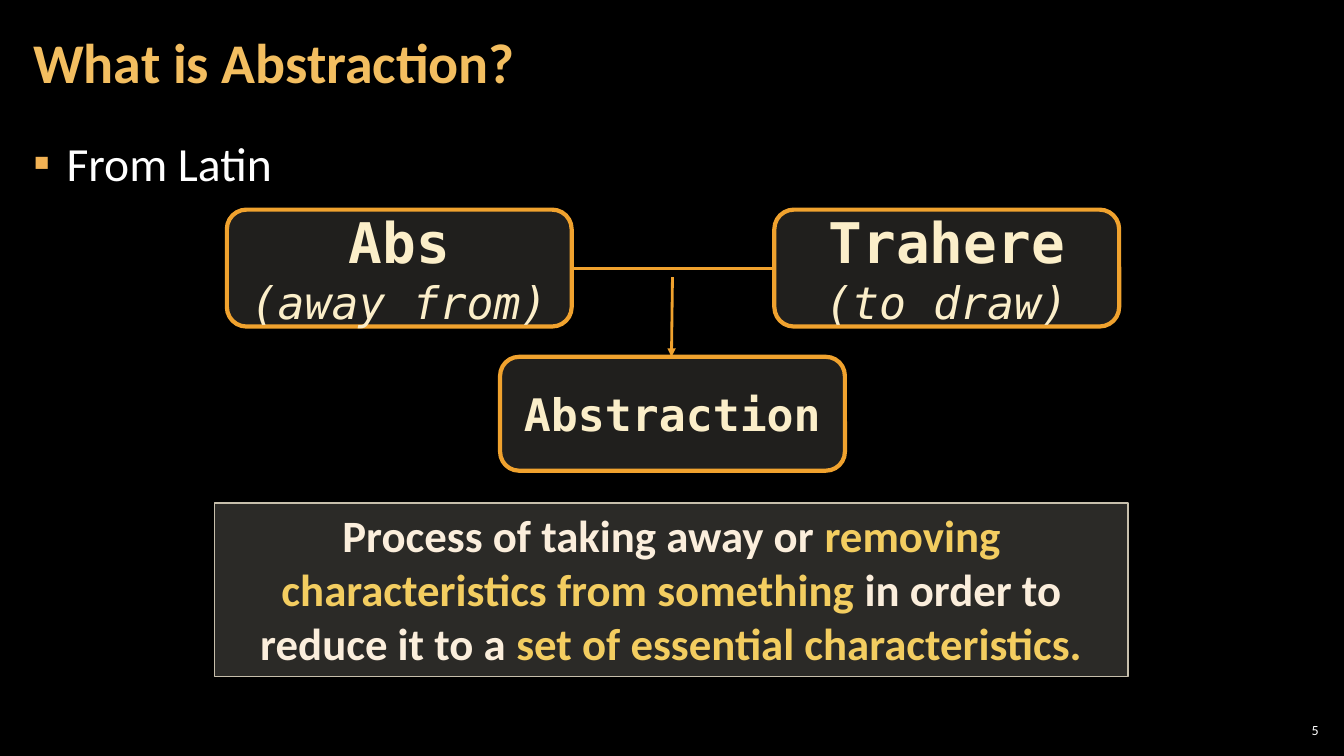
import pptx
import pptx.util
import pptx.dml.color
import pptx.enum.shapes
import pptx.enum.text
import pptx.oxml
import pptx.oxml.ns

Inches = pptx.util.Inches
Align = pptx.enum.text.PP_ALIGN
Anchor = pptx.enum.text.MSO_ANCHOR
Shape = pptx.enum.shapes.MSO_SHAPE

COLORS = {
    "background": "000000", "white": "FFFFFF", "title": "F3BE60",
    "bullet": "F2B254", "accent": "F0A22E", "panel": "D9D5C7",
    "panel_line": "C7BFAC", "term": "FBEEC9", "body": "FBEEDC",
    "highlight": "F3CD60",
}
SANS, MONO = "Calibri", "DejaVu Sans Mono"


def color(name):
    return pptx.dml.color.RGBColor.from_string(COLORS[name])


def add_element(parent, tag, **attributes):
    element = pptx.oxml.parse_xml(f"<a:{tag} {pptx.oxml.ns.nsdecls('a')}/>")
    for key, value in attributes.items():
        element.set(key, value)
    parent.append(element)
    return element


class SlideBuilder:
    def __init__(self, deck):
        self.page = deck.slides.add_slide(deck.slide_layouts[5])
        self.page.background.fill.solid()
        self.page.background.fill.fore_color.rgb = color("background")

    def format_span(self, span, size, name, font=SANS, bold=False, italic=False):
        span.font.size = pptx.util.Pt(size)
        span.font.name = font
        span.font.bold = bold
        span.font.italic = italic
        span.font.color.rgb = color(name)

    def frame(self, box, anchor=Anchor.TOP, side=0.1, edge=0.05, wrap=True):
        frame = box.text_frame
        frame.word_wrap = wrap
        frame.auto_size = pptx.enum.text.MSO_AUTO_SIZE.NONE
        frame.vertical_anchor = anchor
        frame.margin_left = frame.margin_right = Inches(side)
        frame.margin_top = frame.margin_bottom = Inches(edge)
        return frame

    def title(self, text, left, top, width, height):
        box = self.page.shapes.title
        box.left, box.top = Inches(left), Inches(top)
        box.width, box.height = Inches(width), Inches(height)
        frame = self.frame(box, Anchor.MIDDLE, 0.12, 0.04)
        frame.text = text
        para = frame.paragraphs[0]
        para.alignment = Align.LEFT
        para.line_spacing = 0.9
        self.format_span(para.runs[0], 40, "title", bold=True)

    def text(self, text, size, left, top, width, height, side,
             anchor=Anchor.TOP, align=Align.LEFT):
        box = self.page.shapes.add_textbox(
            Inches(left), Inches(top), Inches(width), Inches(height))
        frame = self.frame(box, anchor, side, 0.04)
        frame.text = text
        para = frame.paragraphs[0]
        para.alignment = align
        self.format_span(para.runs[0], size, "white")
        return para

    def bullet(self, text, *place):
        para = self.text(text, 34, *place, side=0.12)
        para.line_spacing = 1.05
        para.space_after = pptx.util.Pt(6)
        properties = para._p.get_or_add_pPr()
        properties.set("marL", str(Inches(0.33)))
        properties.set("indent", str(-Inches(0.33)))
        bullet_color = add_element(properties, "buClr")
        add_element(bullet_color, "srgbClr", val=COLORS["bullet"])
        add_element(properties, "buFont", typeface=SANS)
        add_element(properties, "buChar", char="▪")

    def panel(self, kind, left, top, width, height, line, line_width, alpha):
        box = self.page.shapes.add_shape(
            kind, Inches(left), Inches(top), Inches(width), Inches(height))
        box.shadow.inherit = False
        box.fill.solid()
        box.fill.fore_color.rgb = color("panel")
        fill_color = box.fill._xPr.find(".//" + pptx.oxml.ns.qn("a:srgbClr"))
        add_element(fill_color, "alpha", val=str(alpha * 1000))
        box.line.color.rgb = color(line)
        box.line.width = pptx.util.Pt(line_width)
        return box

    def term(self, word, meaning, size, left, top, height):
        box = self.panel(Shape.ROUNDED_RECTANGLE, left, top, 3.42, height,
                         "accent", 3, 15)
        frame = self.frame(box, Anchor.MIDDLE, wrap=False)
        frame.text = f"{word}\n{meaning}" if meaning else word
        for para in frame.paragraphs:
            para.alignment = Align.CENTER
        self.format_span(frame.paragraphs[0].runs[0], size, "term", MONO, bold=True)
        if meaning:
            self.format_span(frame.paragraphs[1].runs[0], 32, "term", MONO, italic=True)
        return box

    def definition(self, parts, *place):
        box = self.panel(Shape.RECTANGLE, *place, "panel_line", 1, 20)
        para = self.frame(box).paragraphs[0]
        para.alignment = Align.CENTER
        for text, name in parts:
            span = para.add_run()
            span.text = text
            self.format_span(span, 32, name, bold=True)

    def connector(self, start, end, arrow=False):
        line = self.page.shapes.add_connector(
            pptx.enum.shapes.MSO_CONNECTOR.STRAIGHT,
            *map(Inches, start), *map(Inches, end))
        line.line.color.rgb = color("accent")
        line.line.width = pptx.util.Pt(2)
        if arrow:
            add_element(line.line._get_or_add_ln(), "tailEnd", type="triangle")
        add_element(line._element.spPr, "effectLst")
        return line


def main():
    deck = pptx.Presentation()
    deck.slide_width, deck.slide_height = Inches(13.33), Inches(7.5)
    slide = SlideBuilder(deck)

    # Slide number, title and bullet
    slide.text("5", 10, 12.65, 7.14, 0.47, 0.21, 0.04, Anchor.MIDDLE, Align.RIGHT)
    slide.bullet("From Latin", 0.21, 1.26, 12.91, 6.09)
    slide.title("What is Abstraction?", 0.21, 0.04, 10.47, 1.21)

    # Latin roots and the word they form
    prefix = slide.term("Abs", "(away from)", 40, 2.25, 2.08, 1.16)
    verb = slide.term("Trahere", "(to draw)", 40, 7.68, 2.08, 1.16)
    slide.term("Abstraction", None, 32, 4.96, 3.54, 1.13)
    joint = slide.connector((5.67, 2.66), (7.68, 2.66))
    joint.begin_connect(prefix, 3)
    joint.end_connect(verb, 1)
    slide.connector((6.67, 2.75), (6.66, 3.54), arrow=True)

    # Definition
    slide.definition([
        ("Process of taking away or ", "body"),
        ("removing characteristics from something", "highlight"),
        (" in order to reduce it to a ", "body"),
        ("set of essential characteristics.", "highlight"),
    ], 2.13, 4.99, 9.06, 1.72)

    deck.save("out.pptx")


if __name__ == "__main__":
    main()
